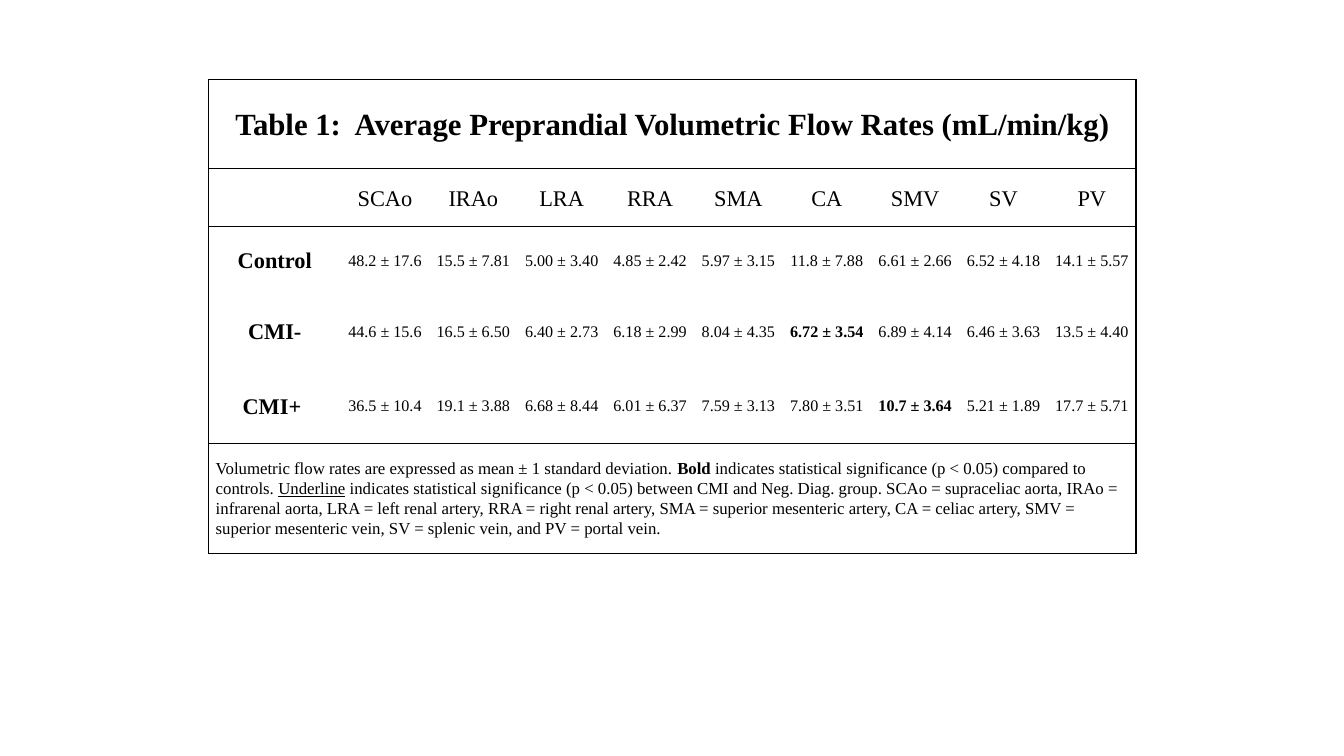
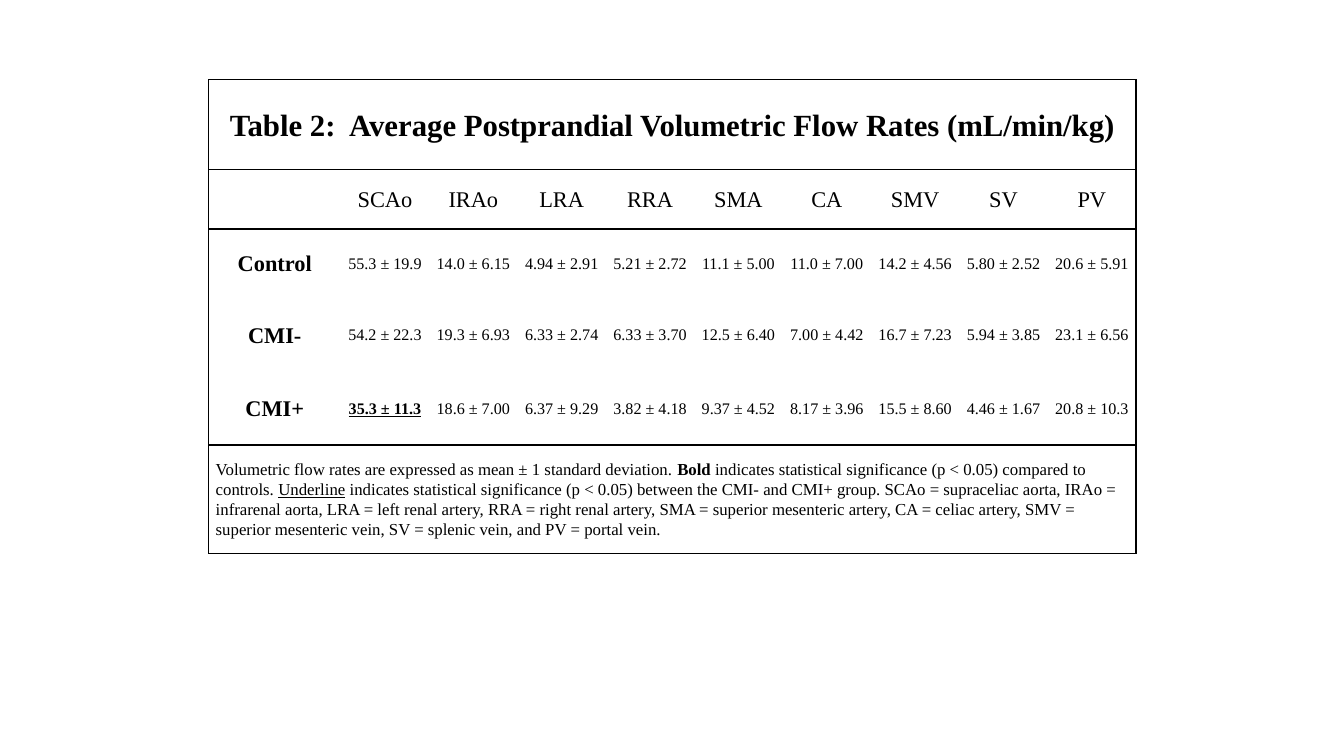
from lxml import etree
from pptx import Presentation
from pptx.dml.color import RGBColor
from pptx.enum.text import MSO_ANCHOR, PP_ALIGN
from pptx.oxml.ns import qn
from pptx.util import Inches, Pt

BLACK = RGBColor(0, 0, 0)
FONT = "Times New Roman"
MIDDLE = MSO_ANCHOR.MIDDLE
CENTER, LEFT = PP_ALIGN.CENTER, PP_ALIGN.LEFT
WIDE, HIGH = 13.33, 7.5
BOX = (2.07, 0.79, 9.2, 4.7)
FIRST = 1.31
PAD = 0.07
RULED = (0, 1, 2, 5, 6)
HEADS = ["SCAo", "IRAo", "LRA", "RRA", "SMA", "CA", "SMV", "SV", "PV"]
BOLD = {"bold": True}
LINE = {"underline": True}

TABLES = [
    {
        "title": "Table 1:  Average Preprandial Volumetric Flow Rates (mL/min/kg)",
        "rows": [0.88, 0.58, 0.67, 0.73, 0.75, 1.09],
        "rule": 1,
        "data": [
            ("Control", "48.2 ± 17.6|15.5 ± 7.81|5.00 ± 3.40|4.85 ± 2.42|5.97 ± 3.15|"
                        "11.8 ± 7.88|6.61 ± 2.66|6.52 ± 4.18|14.1 ± 5.57"),
            ("CMI-", "44.6 ± 15.6|16.5 ± 6.50|6.40 ± 2.73|6.18 ± 2.99|8.04 ± 4.35|"
                     "6.72 ± 3.54|6.89 ± 4.14|6.46 ± 3.63|13.5 ± 4.40"),
            ("CMI+ ", "36.5 ± 10.4|19.1 ± 3.88|6.68 ± 8.44|6.01 ± 6.37|7.59 ± 3.13|"
                      "7.80 ± 3.51|10.7 ± 3.64|5.21 ± 1.89|17.7 ± 5.71"),
        ],
        "marks": {(3, 6): BOLD, (4, 7): BOLD},
        "groups": "CMI and Neg. Diag. group",
    },
    {
        "title": "Table 2:  Average Postprandial Volumetric Flow Rates (mL/min/kg)",
        "rows": [0.89, 0.59, 0.68, 0.73, 0.73, 1.07],
        "rule": 1.5,
        "data": [
            ("Control", "55.3 ± 19.9|14.0 ± 6.15|4.94 ± 2.91|5.21 ± 2.72|11.1 ± 5.00|"
                        "11.0 ± 7.00|14.2 ± 4.56|5.80 ± 2.52|20.6 ± 5.91"),
            ("CMI-", "54.2 ± 22.3|19.3 ± 6.93|6.33 ± 2.74|6.33 ± 3.70|12.5 ± 6.40|"
                     "7.00 ± 4.42|16.7 ± 7.23|5.94 ± 3.85|23.1 ± 6.56"),
            ("CMI+", "35.3 ± 11.3|18.6 ± 7.00|6.37 ± 9.29|3.82 ± 4.18|9.37 ± 4.52|"
                     "8.17 ± 3.96|15.5 ± 8.60|4.46 ± 1.67|20.8 ± 10.3"),
        ],
        "marks": {(4, 1): {**BOLD, **LINE}},
        "groups": "the CMI- and CMI+ group",
    },
]


def write(cell, text, size, align=CENTER, **style):
    parts = [(text, style)] if isinstance(text, str) else text
    para = cell.text_frame.paragraphs[0]
    para.alignment = align
    para.line_spacing = 1.07
    for words, form in parts:
        run = para.add_run()
        run.text = words
        font = run.font
        font.name, font.size = FONT, Pt(size)
        font.color.rgb = BLACK
        font.bold = form.get("bold", False)
        font.italic = form.get("italic", False)
        font.underline = form.get("underline", False)


def edge(cell, side, width):
    line = etree.SubElement(cell._tc.get_or_add_tcPr(), qn("a:ln" + side))
    if width:
        line.set("w", str(int(Pt(width))))
        fill = etree.SubElement(line, qn("a:solidFill"))
        etree.SubElement(fill, qn("a:srgbClr"), val=str(BLACK))
    else:
        line.set("w", "0")
        etree.SubElement(line, qn("a:noFill"))


def frame(table, rule):
    rows, cols = len(table.rows), len(table.columns)
    for r in range(rows):
        for c in range(cols):
            cell = table.cell(r, c)
            above, below = [
                (1 if k in (0, rows) else rule) if k in RULED else 0
                for k in (r, r + 1)
            ]
            right = c == cols - 1 or cell.is_merge_origin
            for side, width in zip("LRTB", (int(c == 0), int(right), above, below)):
                edge(cell, side, width)
            cell.fill.background()
            cell.vertical_anchor = MIDDLE
            cell.margin_left = cell.margin_right = Inches(PAD)
            cell.margin_top = cell.margin_bottom = 0


def legend(groups):
    return [
        ("Volumetric flow rates are expressed as mean ± 1 standard deviation. ", {}),
        ("Bold ", BOLD),
        ("indicates statistical significance (p < 0.05) compared to controls. ", {}),
        ("Underline", LINE),
        (" ", {"italic": True}),
        (f"indicates statistical significance (p < 0.05) between {groups}. "
         "SCAo = supraceliac aorta, IRAo = infrarenal aorta, LRA = left renal artery, "
         "RRA = right renal artery, SMA = superior mesenteric artery, CA = celiac artery, "
         "SMV = superior mesenteric vein, SV = splenic vein, and PV = portal vein.", {}),
    ]


def grid(slide, box, info):
    left, top, width, height = box
    rows, cols = len(info["rows"]), len(HEADS) + 1
    table = slide.shapes.add_table(rows, cols, *map(Inches, box)).table
    table.first_row = table.horz_banding = False
    step = (width - FIRST) / len(HEADS)
    for c, col in enumerate(table.columns):
        col.width = Inches(step if c else FIRST)
    for row, tall in zip(table.rows, info["rows"]):
        row.height = Inches(height * tall / sum(info["rows"]))
    for r in (0, rows - 1):
        table.cell(r, 0).merge(table.cell(r, cols - 1))
    frame(table, info["rule"])
    write(table.cell(0, 0), info["title"], 22, bold=True)
    for c, head in enumerate(HEADS, 1):
        write(table.cell(1, c), head, 16)
    for r, (name, values) in enumerate(info["data"], 2):
        write(table.cell(r, 0), name, 16, bold=True)
        for c, value in enumerate(values.split("|"), 1):
            write(table.cell(r, c), value, 11.5, **info["marks"].get((r, c), {}))
    write(table.cell(rows - 1, 0), legend(info["groups"]), 12, LEFT)


def main():
    deck = Presentation()
    deck.slide_width, deck.slide_height = Inches(WIDE), Inches(HIGH)
    for info in TABLES:
        grid(deck.slides.add_slide(deck.slide_layouts[6]), BOX, info)
    deck.save("out.pptx")


if __name__ == "__main__":
    main()
